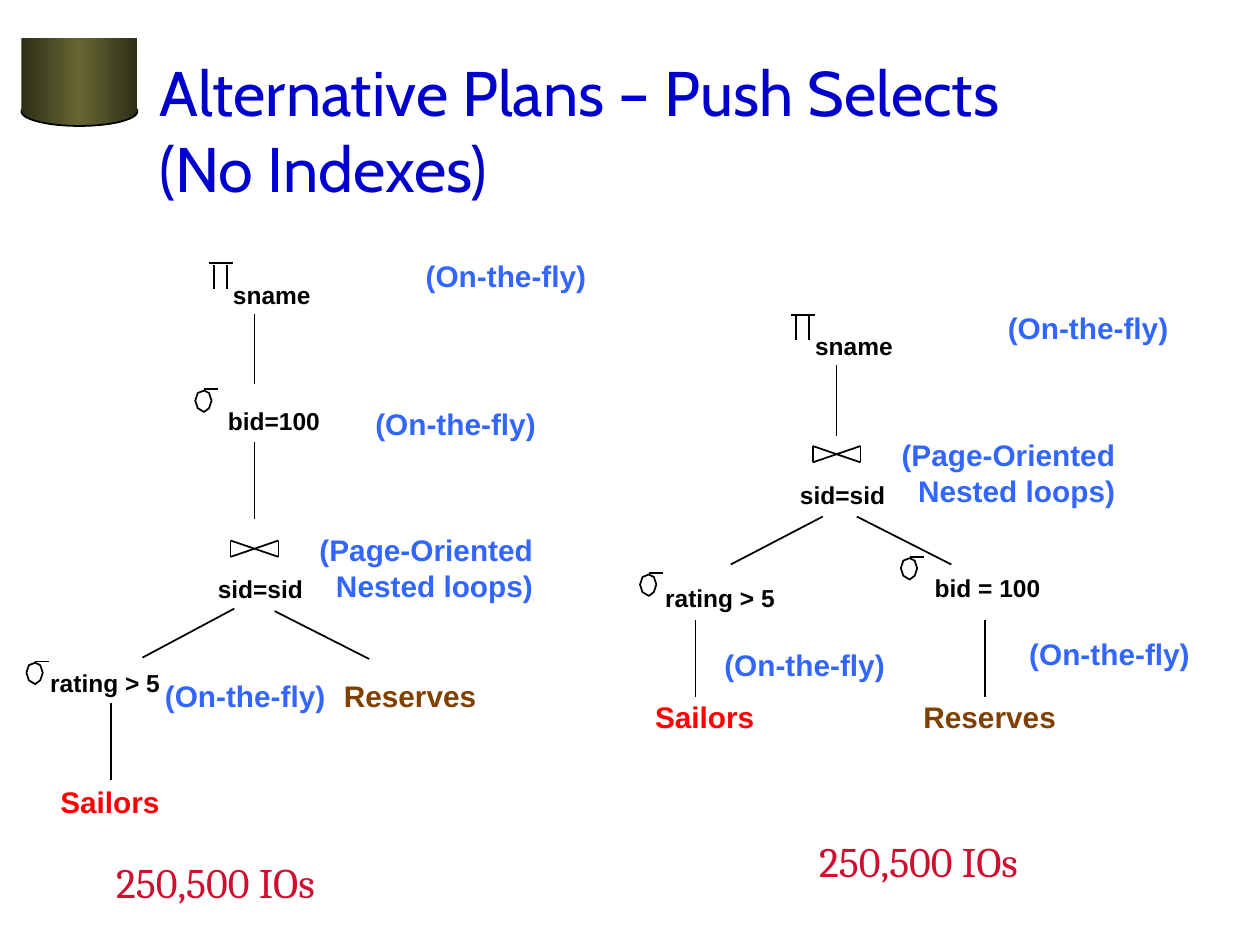
from copy import deepcopy
from dataclasses import dataclass

from lxml.etree import SubElement
from pptx import Presentation
from pptx.dml.color import RGBColor
from pptx.enum.shapes import MSO_CONNECTOR, MSO_SHAPE
from pptx.enum.text import MSO_ANCHOR, MSO_AUTO_SIZE, PP_ALIGN
from pptx.oxml.ns import qn
from pptx.util import Inches, Pt


@dataclass(frozen=True)
class Theme:
    title: tuple = ("Cabin", 36, "0000CC", False)
    label: tuple = ("Arial", 14, "000000", True)
    note: tuple = ("Arial", 17, "3366FF", True)
    sailor: tuple = ("Arial", 17, "FF0000", True)
    reserve: tuple = ("Arial", 17, "804000", True)
    cost: tuple = ("Cambria", 24, "CF0E30", False)
    ink: str = "000000"
    dark: str = "2F2F18"
    olive: str = "666633"
    stroke: float = 1


class Plan:
    def __init__(self, slide, theme):
        self.slide = slide
        self.theme = theme

    def pen(self, line):
        line.color.rgb = RGBColor.from_string(self.theme.ink)
        line.width = Pt(self.theme.stroke)

    def text(self, x, y, w, h, lines, style, align=PP_ALIGN.LEFT,
             anchor=MSO_ANCHOR.TOP, grow=True):
        box = self.slide.shapes.add_textbox(*map(Inches, (x, y, w, h)))
        frame = box.text_frame
        frame.word_wrap = False
        frame.auto_size = MSO_AUTO_SIZE.SHAPE_TO_FIT_TEXT if grow else MSO_AUTO_SIZE.NONE
        frame.vertical_anchor = anchor
        face, size, color, bold = style
        for i, line in enumerate(lines):
            para = frame.add_paragraph() if i else frame.paragraphs[0]
            para.alignment = align
            run = para.add_run()
            run.text = line
            run.font.name, run.font.size, run.font.bold = face, Pt(size), bold
            run.font.color.rgb = RGBColor.from_string(color)

    def line(self, x1, y1, x2, y2):
        line = self.slide.shapes.add_connector(
            MSO_CONNECTOR.STRAIGHT, *map(Inches, (x1, y1, x2, y2)))
        self.pen(line.line)
        SubElement(line._element.spPr, qn("a:effectLst"))

    def metal(self, kind, x, y, w, h, edge):
        shape = self.slide.shapes.add_shape(kind, *map(Inches, (x, y, w, h)))
        shape.shadow.inherit = False
        shape.fill.gradient()
        shape.fill.gradient_angle = 0
        # Add a middle stop to the two default ones
        first = shape._element.spPr.find(".//" + qn("a:gs"))
        first.addnext(deepcopy(first))
        tones = (self.theme.dark, self.theme.olive, self.theme.dark)
        for i, (stop, tone) in enumerate(zip(shape.fill.gradient_stops, tones)):
            stop.position = i / 2
            stop.color.rgb = RGBColor.from_string(tone)
        if edge:
            self.pen(shape.line)
        else:
            shape.line.fill.background()

    def label(self, x, y, w, text):
        self.text(x, y, w, 0.33, [text], self.theme.label)

    def table(self, x, y, w, name, style):
        self.text(x, y, w, 0.38, [name], style)

    def fly(self, x, y):
        self.text(x, y, 1.52, 0.38, ["(On-the-fly)"], self.theme.note)

    def project(self, x, y):
        self.line(x, y, x + 0.19, y)
        for leg in (x + 0.04, x + 0.14):
            self.line(leg, y + 0.01, leg, y + 0.2)
        self.label(x + 0.09, y + 0.08, 0.82, "sname")
        self.fly(x + 1.62, y - 0.09)
        self.line(x + 0.36, y + 0.4, x + 0.36, y + 0.96)

    def select(self, x, y):
        ring = [(0.13, 0.08), (0.11, 0.02), (0.07, 0), (0.02, 0.02),
                (0, 0.08), (0.02, 0.14), (0.07, 0.17), (0.11, 0.14)]
        points = [(Inches(x + dx), Inches(y + dy)) for dx, dy in ring]
        path = self.slide.shapes.build_freeform(*points[0])
        path.add_line_segments(points[1:], close=True)
        loop = path.convert_to_shape()
        loop.shadow.inherit = False
        loop.fill.background()
        self.pen(loop.line)
        self.line(x + 0.07, y - 0.01, x + 0.18, y - 0.01)

    def join(self, x, y):
        right, low = x + 0.38, y + 0.13
        for side in (x, right):
            self.line(side, y, side, low)
        self.line(x, y, right, low)
        self.line(x, low, right, y)
        self.label(x - 0.2, y + 0.22, 0.88, "sid=sid")
        self.text(x + 0.55, y - 0.12, 1.95, 0.66,
                  ["(Page-Oriented", "Nested loops)"],
                  self.theme.note, PP_ALIGN.RIGHT)

    def cost(self, x, y):
        self.text(x, y, 2.08, 0.5, ["250,500 IOs"], self.theme.cost,
                  PP_ALIGN.CENTER, MSO_ANCHOR.MIDDLE, False)


def main():
    deck = Presentation()
    deck.slide_width, deck.slide_height = Inches(10), Inches(7.5)
    theme = Theme()
    plan = Plan(deck.slides.add_slide(deck.slide_layouts[6]), theme)

    # Drum and title
    plan.metal(MSO_SHAPE.OVAL, 0.17, 0.77, 0.92, 0.23, True)
    plan.metal(MSO_SHAPE.RECTANGLE, 0.17, 0.3, 0.92, 0.59, False)
    plan.text(1.17, 0.42, 8.5, 1.21,
              ["Alternative Plans – Push Selects", "(No Indexes)"],
              theme.title, anchor=MSO_ANCHOR.MIDDLE, grow=False)

    # Left plan: one select pushed down
    plan.project(1.66, 2.09)
    plan.select(1.55, 3.1)
    plan.label(1.71, 3.17, 0.98, "bid=100")
    plan.fly(2.88, 3.17)
    plan.line(2.02, 3.51, 2.02, 4.12)
    plan.join(1.83, 4.29)
    plan.line(1.13, 5.22, 1.86, 4.83)
    plan.line(2.18, 4.85, 2.93, 5.23)
    plan.select(0.21, 5.26)
    plan.label(0.3, 5.25, 1.07, "rating > 5")
    plan.fly(1.21, 5.33)
    plan.table(2.63, 5.33, 1.25, "Reserves", theme.reserve)
    plan.line(0.88, 5.58, 0.88, 6.19)
    plan.table(0.38, 6.17, 0.99, "Sailors", theme.sailor)

    # Right plan: both selects pushed down
    plan.project(6.28, 2.5)
    plan.join(6.45, 3.54)
    plan.line(5.8, 4.48, 6.53, 4.1)
    plan.line(6.8, 4.1, 7.55, 4.48)
    plan.select(5.08, 4.56)
    plan.label(5.18, 4.58, 1.12, "rating > 5")
    plan.select(7.15, 4.43)
    plan.label(7.32, 4.5, 1.04, "bid = 100")
    for x in (5.52, 7.82):
        plan.line(x, 4.92, x, 5.53)
    plan.fly(5.65, 5.08)
    plan.fly(8.07, 5)
    plan.table(5.1, 5.5, 0.99, "Sailors", theme.sailor)
    plan.table(7.23, 5.5, 1.25, "Reserves", theme.reserve)

    # Costs
    plan.cost(6.25, 6.58)
    plan.cost(0.67, 6.75)

    deck.save("out.pptx")


if __name__ == "__main__":
    main()
